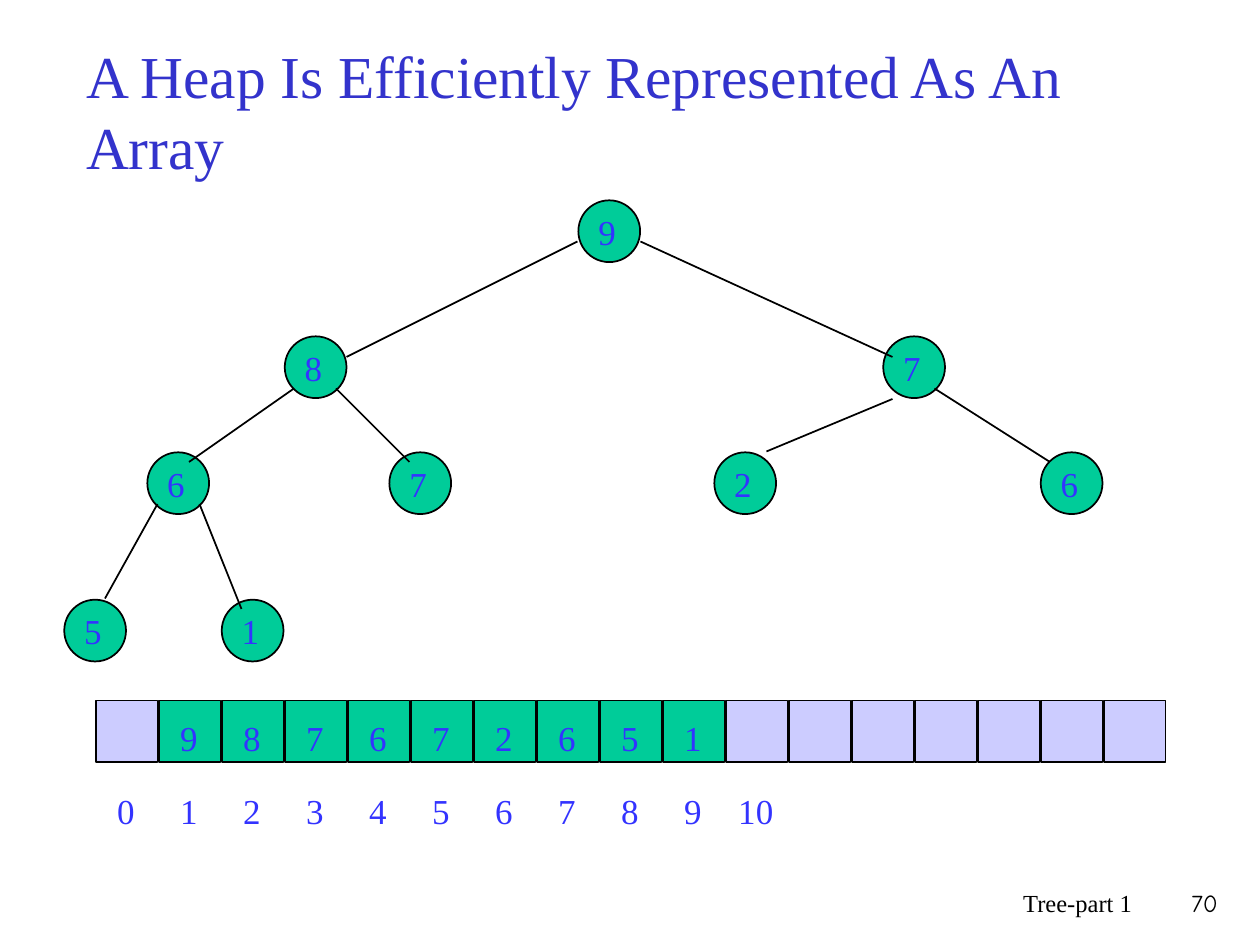
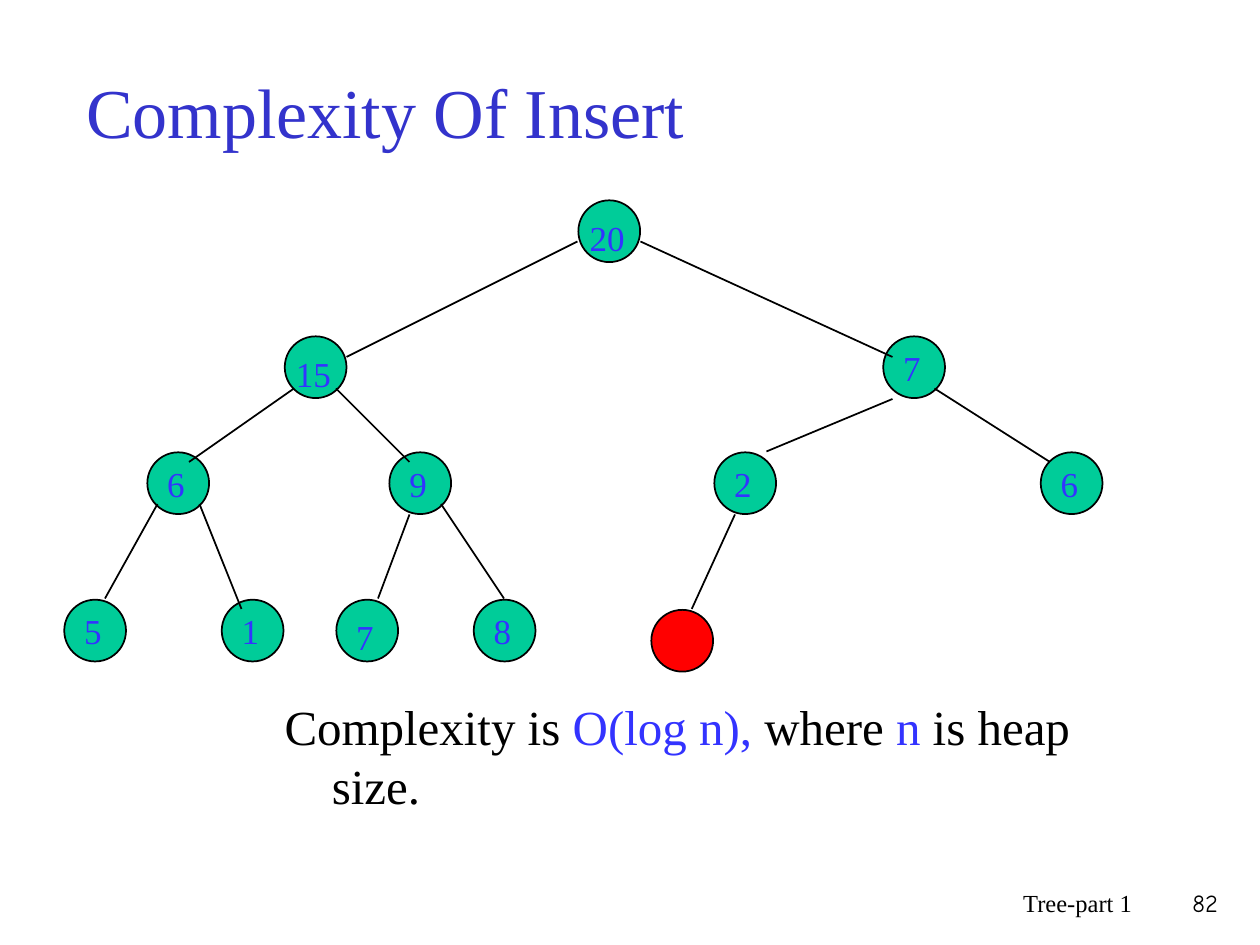
from pptx import Presentation
from pptx import util as u
from pptx.dml import color
from pptx.enum import shapes, text
from pptx.oxml import xmlchemy
from lxml import etree

Pt = u.Pt
SERIF, NUMBER_FONT = "Times New Roman", "Comic Neue"
BLACK, TITLE_BLUE, TEXT_BLUE = "000000", "3333CC", "3333FF"
GREEN, LAVENDER, RED = "00CC99", "CCCCFF", "FF0000"
BOX = 35.3
A = "{http://schemas.openxmlformats.org/drawingml/2006/main}"

SHARED_PLACES = [
    (330.5, 114.5),
    (162.7, 192.2), (504.7, 192.2),
    (84.2, 258.5), (222.5, 258.5), (408.2, 258.5), (594.7, 258.5),
    (36.7, 342.7), (126.7, 342.7),
]
INSERTED_PLACES = [(192.2, 342.7), (270.7, 342.7)]
NEW_NODE_PLACE = (372.2, 348.5)
SHARED_EDGES = [
    (330, 138, 198, 204), (366, 138, 510, 204),
    (168, 222, 108, 264), (192, 222, 234, 264),
    (510, 228, 438, 258), (534, 222, 600, 264),
    (90, 288, 60, 342), (114, 288, 138, 348),
]
INSERTED_EDGES = [(234, 294, 216, 342), (252, 288, 288, 342)]
NEW_NODE_EDGE = (420, 294, 395.3, 348)


def rgb(value):
    return color.RGBColor.from_string(value)


class Deck:
    def __init__(self):
        self.presentation = Presentation()
        self.presentation.slide_width = Pt(720)
        self.presentation.slide_height = Pt(540)
        self.slide = None

    def add_slide(self, title, title_size, number):
        layout = self.presentation.slide_layouts.get_by_name("Title Only")
        self.slide = self.presentation.slides.add_slide(layout)
        shape = self.slide.shapes.title
        shape.left, shape.top, shape.width, shape.height = map(Pt, (42, 18, 612, 90))
        frame = shape.text_frame
        frame.auto_size = text.MSO_AUTO_SIZE.NONE
        frame.vertical_anchor = text.MSO_ANCHOR.MIDDLE
        frame.text = title
        paragraph = frame.paragraphs[0]
        paragraph.alignment = text.PP_ALIGN.LEFT
        self.style(paragraph.font, title_size, TITLE_BLUE)
        right = text.PP_ALIGN.RIGHT
        self.text_box("Tree-part 1", 426, 504, 228, 36, 14, BLACK, alignment=right)
        self.text_box(number, 654, 504, 49, 36, 14, BLACK, NUMBER_FONT, right)

    def style(self, font, size, fill, name=SERIF):
        font.size, font.name = Pt(size), name
        font.color.rgb = rgb(fill)

    def text_box(self, words, left, top, width, height, size, fill, name=SERIF, alignment=None):
        shape = self.slide.shapes.add_textbox(*map(Pt, (left, top, width, height)))
        shape.text_frame.word_wrap = True
        paragraph = shape.text_frame.paragraphs[0]
        paragraph.text = words
        paragraph.alignment = alignment
        self.style(paragraph.font, size, fill, name)

    def label(self, words, left, top):
        if len(words) == 2:
            self.text_box(words, left - 5, top, 42, 31, 20, TEXT_BLUE)
        else:
            self.text_box(words, left, top, 24.5, 31, 20, TEXT_BLUE)

    def block(self, kind, left, top, fill):
        shape = self.slide.shapes.add_shape(kind, Pt(left), Pt(top), Pt(BOX), Pt(BOX))
        shape.shadow.inherit = False
        shape.fill.solid()
        shape.fill.fore_color.rgb = rgb(fill)
        shape.line.color.rgb = rgb(BLACK)
        shape.line.width = Pt(1)

    def circle(self, left, top, fill=GREEN):
        self.block(shapes.MSO_SHAPE.OVAL, left, top, fill)

    def edge(self, *ends):
        connector = self.slide.shapes.add_connector(shapes.MSO_CONNECTOR.STRAIGHT, *map(Pt, ends))
        connector.line.color.rgb = rgb(BLACK)
        connector.line.width = Pt(1)
        etree.SubElement(connector._element.spPr, A + "effectLst")

    def tree(self, values, places, edges, lowered=()):
        for place in places:
            self.circle(*place)
        for ends in edges:
            self.edge(*ends)
        for index, (value, (left, top)) in enumerate(zip(values, places)):
            self.label(value, left + 4.3, top + (5.6 if index in lowered else 2.2))

    def array(self, values, cell_count, index_count):
        for index in range(cell_count):
            fill = GREEN if 1 <= index <= len(values) else LAVENDER
            self.block(shapes.MSO_SHAPE.RECTANGLE, 54.7 + 36 * index, 400.3, fill)
        for index, value in enumerate(values, 1):
            self.label(value, 59.8 + 36 * index, 406.1)
        for index in range(index_count):
            self.label(str(index), 59.8 + 36 * index, 447.8)

    def statement(self, parts):
        shape = self.slide.shapes.add_textbox(Pt(155.5), Pt(394.6), Pt(516), Pt(79))
        shape.text_frame.word_wrap = True
        paragraph = shape.text_frame.paragraphs[0]
        properties = paragraph._p.get_or_add_pPr()
        properties.set("marL", str(Pt(27)))
        properties.set("indent", str(Pt(-27)))
        for words, fill in parts:
            run = paragraph.add_run()
            run.text = words
            self.style(run.font, 28, fill)


def main():
    deck = Deck()

    deck.add_slide("A Heap Is Efficiently Represented As An Array", 34, "70")
    heap = "987672651"
    deck.tree(heap, SHARED_PLACES, SHARED_EDGES)
    deck.array(heap, cell_count=17, index_count=11)

    deck.add_slide("Complexity Of Insert", 40, "82")
    deck.statement([
        ("Complexity is ", BLACK), ("O(log n),", TEXT_BLUE), (" where ", BLACK),
        ("n", TEXT_BLUE), (" is heap size.", BLACK),
    ])
    deck.tree(
        ["20", "15", "7", "6", "9", "2", "6", "5", "1", "7", "8"],
        SHARED_PLACES + INSERTED_PLACES,
        SHARED_EDGES + INSERTED_EDGES,
        lowered=(0, 1, 9),
    )
    deck.circle(*NEW_NODE_PLACE, RED)
    deck.edge(*NEW_NODE_EDGE)

    deck.presentation.save("out.pptx")


if __name__ == "__main__":
    main()
